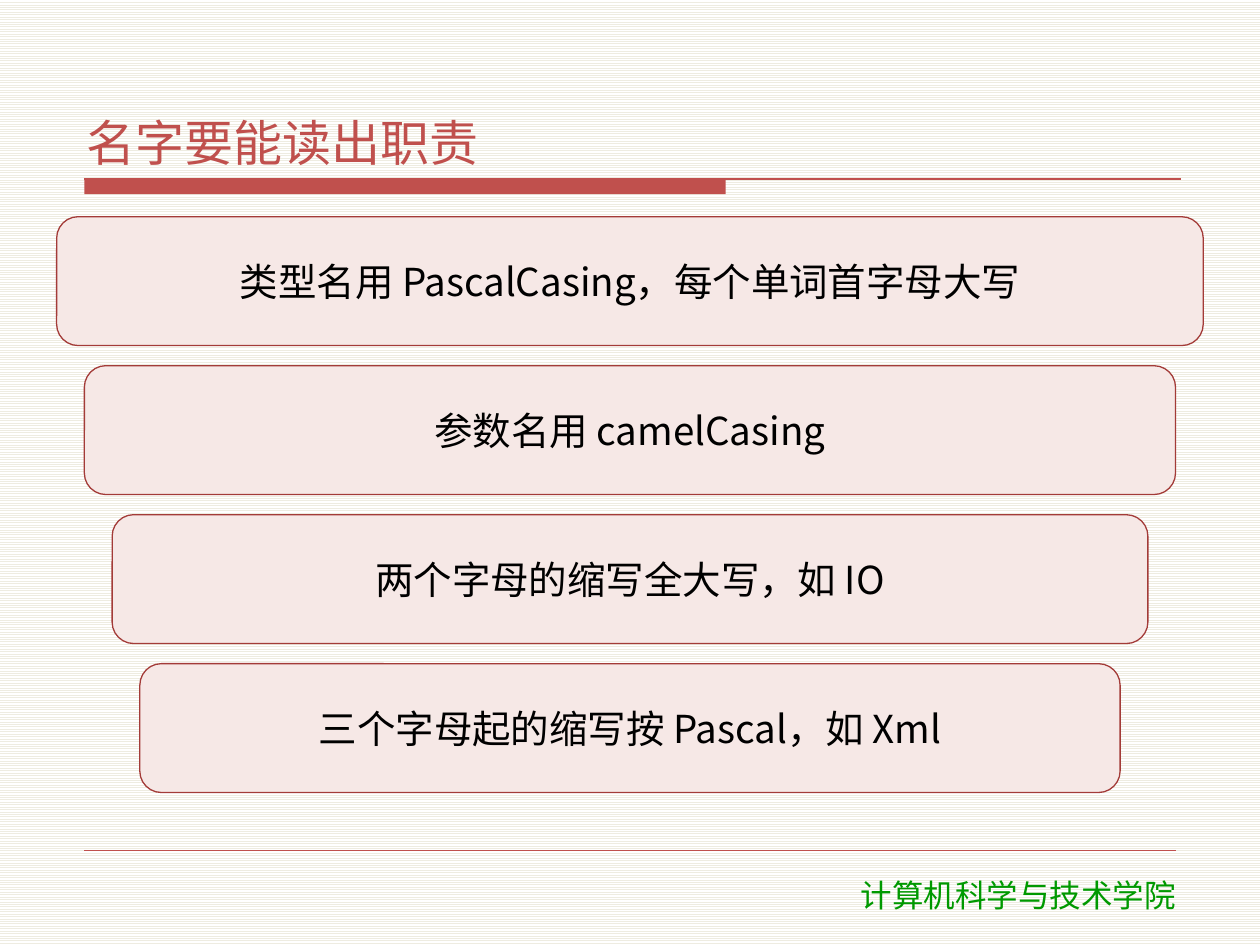
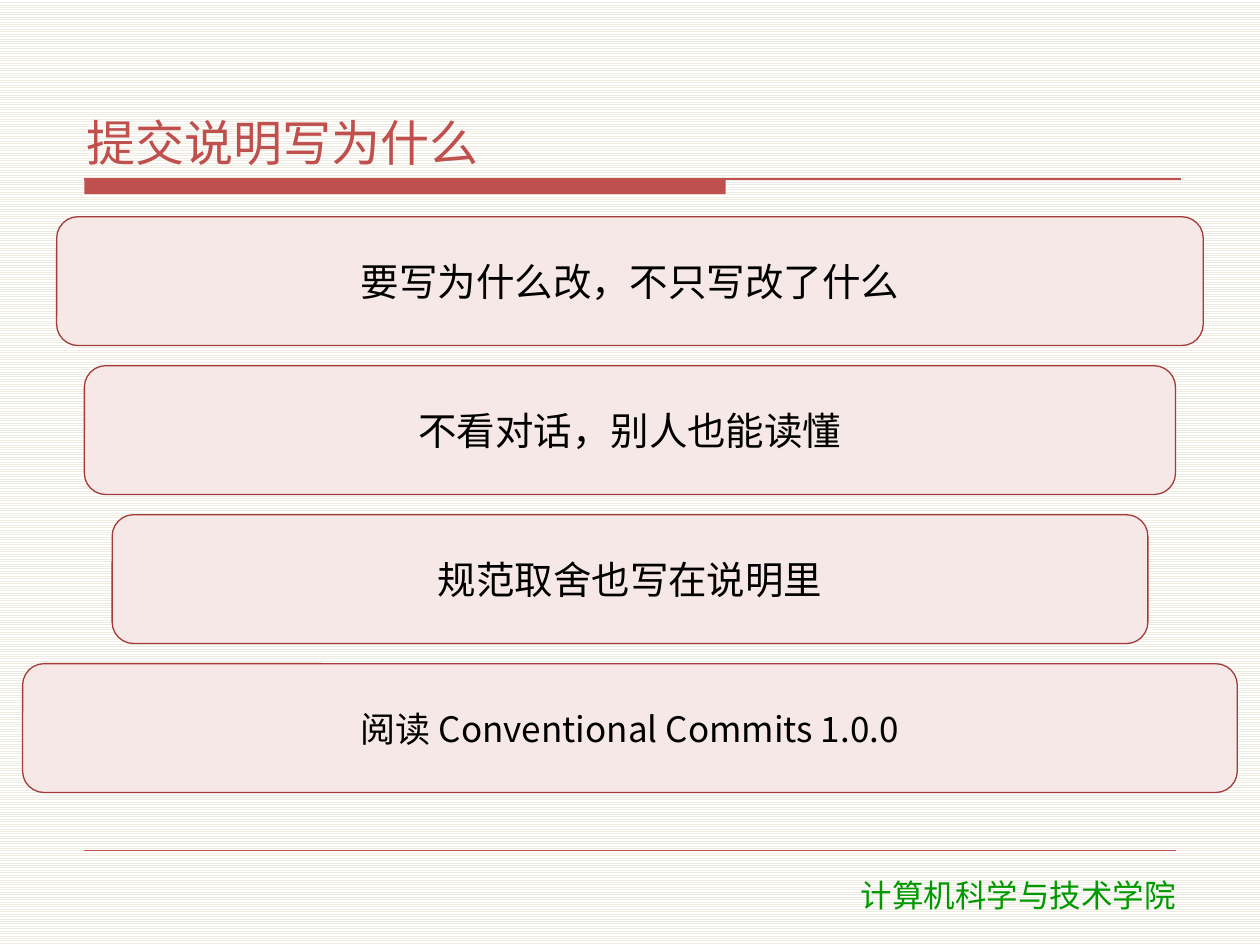
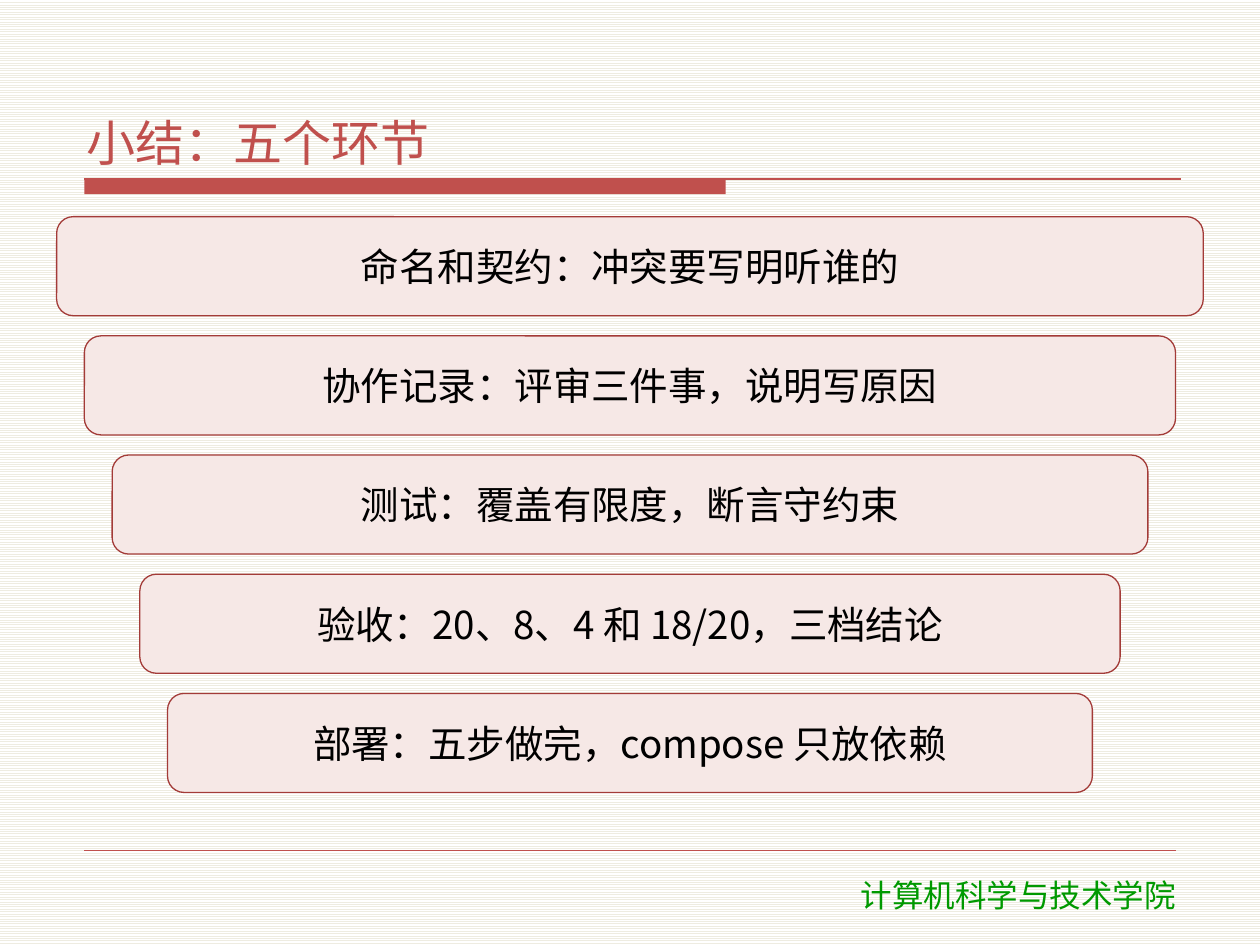
from dataclasses import dataclass

from lxml import etree
from pptx import Presentation
from pptx import util as u
from pptx.dml.color import RGBColor
from pptx.enum import dml, shapes, text
from pptx.oxml.ns import qn


@dataclass(frozen=True)
class Theme:
    red: str = "C0504D"
    edge: str = "A33B38"
    pale: str = "F6E8E6"
    ink: str = "000000"
    green: str = "009900"
    stripe: str = "EEECE1"
    paper: str = "FFFFFF"
    font: str = "Noto Sans CJK SC"
    foot_font: str = "DejaVu Sans"
    head: int = 28
    body: int = 22
    small: int = 20
    foot: int = 18


COLS, ROWS = 100, 75
LEFT, RIGHT = 6.7, 93.3
RULE = 14.2                 # row of the line under the title
TOP, BASE, GAP = 17.2, 62.9, 1.6
EDGE, STEP = 4.5, 2.2       # inset of the first bar, growth per bar
WIDE = 1.8                  # inset of a bar that breaks out of the steps
SCHOOL = "计算机科学与技术学院"

DECK = [
    ("名字要能读出职责", [
        "类型名用 PascalCasing，每个单词首字母大写",
        "参数名用 camelCasing",
        "两个字母的缩写全大写，如 IO",
        "三个字母起的缩写按 Pascal，如 Xml",
    ], None),
    ("提交说明写为什么", [
        "要写为什么改，不只写改了什么",
        "不看对话，别人也能读懂",
        "规范取舍也写在说明里",
    ], "阅读 Conventional Commits 1.0.0"),
    ("小结：五个环节", [
        "命名和契约：冲突要写明听谁的",
        "协作记录：评审三件事，说明写原因",
        "测试：覆盖有限度，断言守约束",
        "验收：20、8、4 和 18/20，三档结论",
        "部署：五步做完，compose 只放依赖",
    ], None),
]


def tint(code):
    return RGBColor.from_string(code)


class Page:
    """Holds the theme and the current slide; lengths are grid columns and rows."""

    def __init__(self, deck, theme):
        self.deck, self.theme = deck, theme
        self.slide = None
        fill = deck.slide_master.background.fill
        fill.patterned()
        fill.pattern = dml.MSO_PATTERN.LIGHT_HORIZONTAL
        fill.fore_color.rgb = tint(theme.stripe)
        fill.back_color.rgb = tint(theme.paper)

    def col(self, n):
        return u.Emu(round(self.deck.slide_width * n / COLS))

    def row(self, n):
        return u.Emu(round(self.deck.slide_height * n / ROWS))

    def area(self, x, y, w, h):
        return self.col(x), self.row(y), self.col(w), self.row(h)

    def new(self):
        self.slide = self.deck.slides.add_slide(self.deck.slide_layouts[6])

    def line(self, x1, x2, y, width):
        rule = self.slide.shapes.add_connector(
            shapes.MSO_CONNECTOR.STRAIGHT,
            self.col(x1), self.row(y), self.col(x2), self.row(y))
        rule.line.color.rgb = tint(self.theme.red)
        rule.line.width = u.Pt(width)
        etree.SubElement(rule.element.spPr, qn("a:effectLst"))

    def block(self, kind, area, fill, edge=None):
        item = self.slide.shapes.add_shape(kind, *self.area(*area))
        item.shadow.inherit = False
        item.fill.solid()
        item.fill.fore_color.rgb = tint(fill)
        if edge:
            item.line.color.rgb = tint(edge)
            item.line.width = u.Pt(0.75)
        else:
            item.line.fill.background()
        return item

    def box(self, area):
        return self.slide.shapes.add_textbox(*self.area(*area))

    def label(self, item, words, size, color, font, align, anchor, side=0.06):
        frame = item.text_frame
        frame.word_wrap = True
        frame.vertical_anchor = anchor
        frame.margin_left = frame.margin_right = u.Inches(side)
        frame.margin_top = frame.margin_bottom = u.Inches(0.02)
        para = frame.paragraphs[0]
        para.alignment = align
        para.space_after = u.Pt(2)
        run = para.add_run()
        run.text = words
        run.font.size = u.Pt(size)
        run.font.color.rgb = tint(color)
        run.font.name = font
        props = para.runs[0]._r.get_or_add_rPr()
        etree.SubElement(props, qn("a:ea"), typeface=font)

    def title(self, words):
        t = self.theme
        self.label(self.box((6.3, 3.3, 87.5, 10.5)), words, t.head, t.red, t.font,
                   text.PP_ALIGN.LEFT, text.MSO_ANCHOR.BOTTOM)
        self.block(shapes.MSO_SHAPE.RECTANGLE, (LEFT, RULE, 50.9, 1.2), t.red)
        self.line(LEFT, 93.7, RULE, 0.75)

    def footer(self):
        t = self.theme
        self.line(LEFT, RIGHT, 67.5, 0.25)
        self.label(self.box((60.7, 69, 40.2, 4)), SCHOOL, t.foot, t.green,
                   t.foot_font, text.PP_ALIGN.CENTER, text.MSO_ANCHOR.MIDDLE)

    def bar(self, words, inset, y, high, size, side=0.06):
        t = self.theme
        item = self.block(shapes.MSO_SHAPE.ROUNDED_RECTANGLE,
                          (inset, y, COLS - 2 * inset, high), t.pale, t.edge)
        self.label(item, words, size, t.ink, t.font,
                   text.PP_ALIGN.CENTER, text.MSO_ANCHOR.MIDDLE, side)

    def stack(self, lines, last):
        """Steps the bars inwards; a last line, if any, gets a wide bar."""
        count = len(lines) + bool(last)
        high = (BASE - TOP + GAP) / count - GAP
        for i, words in enumerate(lines):
            self.bar(words, EDGE + STEP * i, TOP + i * (high + GAP), high,
                     self.theme.body)
        if last:
            self.bar(last, WIDE, BASE - high, high, self.theme.small, 0.02)


def main():
    deck = Presentation()
    deck.slide_width, deck.slide_height = u.Inches(10), u.Inches(7.5)
    page = Page(deck, Theme())
    for head, lines, last in DECK:
        page.new()
        page.title(head)
        page.footer()
        page.stack(lines, last)
    deck.save("out.pptx")


if __name__ == "__main__":
    main()
